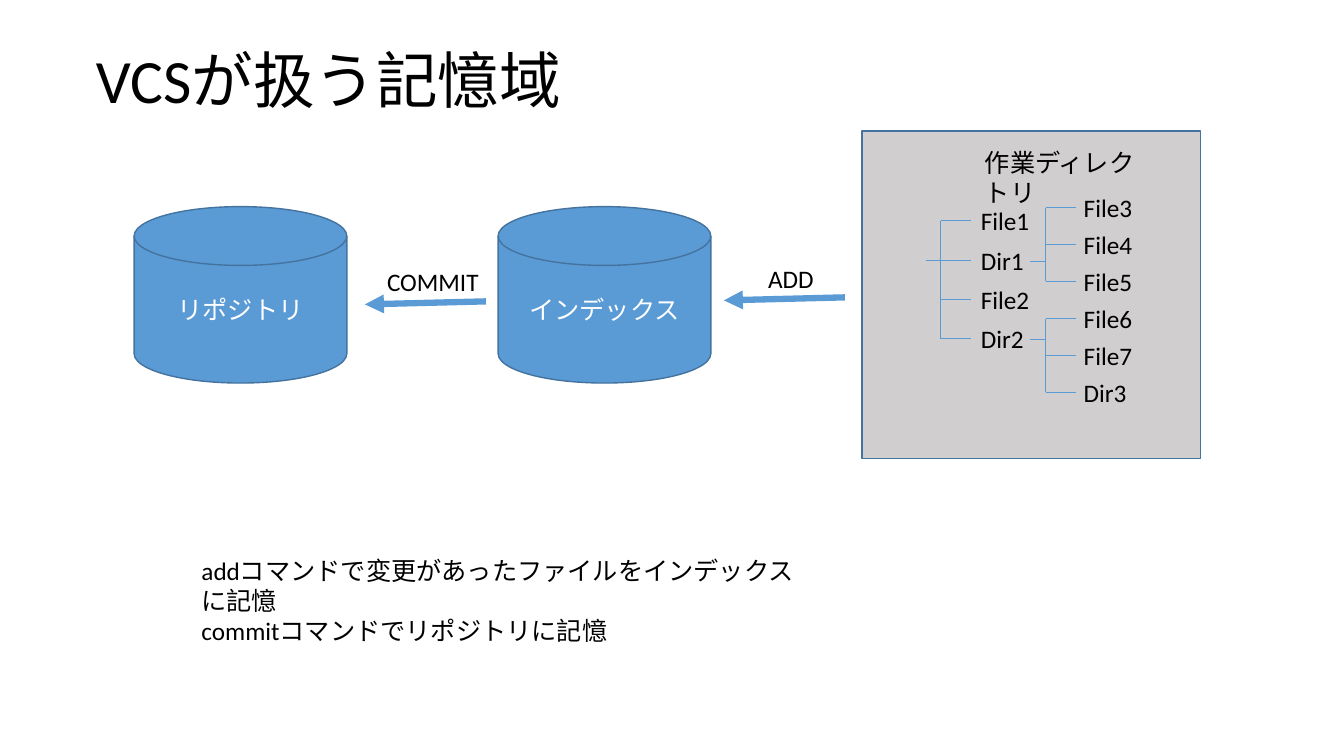
from lxml.etree import SubElement
from pptx import Presentation
from pptx.dml.color import RGBColor
from pptx.enum.shapes import MSO_CONNECTOR, MSO_SHAPE
from pptx.enum.text import MSO_ANCHOR, MSO_AUTO_SIZE, PP_ALIGN
from pptx.oxml.ns import qn
from pptx.util import Inches, Pt

BLUE = RGBColor(0x5B, 0x9B, 0xD5)
OUTLINE = RGBColor(0x43, 0x73, 0x9E)
GRAY = RGBColor(0xD0, 0xCE, 0xCE)
BLACK = RGBColor(0, 0, 0)
WHITE = RGBColor(255, 255, 255)
FONT = "Calibri"

STAGE_LEFT = 1.33
STAGE_PITCH = 3.61
LABEL_HEIGHT = 0.4


def stage_x(column):
    return STAGE_LEFT + column * STAGE_PITCH


def write(paragraph, text, color=BLACK, size=18):
    run = paragraph.add_run()
    run.text = text
    run.font.name = FONT
    run.font.size = Pt(size)
    run.font.color.rgb = color


def add_label(shapes, box, lines, wrap=True):
    label = shapes.add_textbox(*map(Inches, box))
    frame = label.text_frame
    frame.word_wrap = wrap
    frame.auto_size = MSO_AUTO_SIZE.SHAPE_TO_FIT_TEXT
    for index, line in enumerate(lines):
        paragraph = frame.add_paragraph() if index else frame.paragraphs[0]
        write(paragraph, line)


def add_store(shapes, kind, box, fill, name=""):
    store = shapes.add_shape(kind, *map(Inches, box))
    store.shadow.inherit = False
    store.fill.solid()
    store.fill.fore_color.rgb = fill
    store.line.color.rgb = OUTLINE
    store.line.width = Pt(1)
    if name:
        frame = store.text_frame
        frame.vertical_anchor = MSO_ANCHOR.MIDDLE
        frame.paragraphs[0].alignment = PP_ALIGN.CENTER
        write(frame.paragraphs[0], name, WHITE)


def add_line(shapes, start, end, width=0.5, arrow=False):
    line = shapes.add_connector(MSO_CONNECTOR.STRAIGHT, *map(Inches, (*start, *end)))
    line.line.color.rgb = BLUE
    line.line.width = Pt(width)
    properties = line._element.spPr
    if arrow:
        SubElement(properties.find(qn("a:ln")), qn("a:tailEnd"), type="triangle")
    SubElement(properties, qn("a:effectLst"))


def add_branch(shapes, trunk, label_left, top, pitch, stem_y, names):
    rows = [top + pitch * index for index in range(len(names))]
    add_line(shapes, (trunk, rows[0]), (trunk, rows[-1]))
    add_line(shapes, (trunk - 0.15, stem_y), (trunk, stem_y))
    for name, row in zip(names, rows):
        add_line(shapes, (trunk, row), (trunk + 0.3, row))
        add_label(shapes, (label_left, row - 0.2, 0.89, LABEL_HEIGHT), [name])


def add_working_directory(slide):
    directory = slide.shapes.add_group_shape().shapes
    add_store(directory, MSO_SHAPE.RECTANGLE, (stage_x(2), 1.3, 3.36, 3.25), GRAY)
    add_branch(directory, 9.33, 9.63, 2.19, 0.39, 2.58, ["File1", "Dir1", "File2", "Dir2"])
    add_branch(directory, 10.37, 10.65, 2.06, 0.365, 2.59, ["File3", "File4", "File5"])
    add_branch(directory, 10.37, 10.65, 3.16, 0.365, 3.37, ["File6", "File7", "Dir3"])
    add_label(directory, (9.67, 1.41, 1.92, LABEL_HEIGHT), ["作業ディレクトリ"])


def add_title(slide, text):
    title = slide.shapes.title
    title.left, title.top, title.width, title.height = map(Inches, (0.85, 0.1, 11.5, 1.45))
    frame = title.text_frame
    frame.auto_size = MSO_AUTO_SIZE.NONE
    frame.vertical_anchor = MSO_ANCHOR.MIDDLE
    heading = frame.paragraphs[0]
    heading.alignment = PP_ALIGN.LEFT
    heading.line_spacing = 0.9
    write(heading, text, size=44)


def main():
    deck = Presentation()
    deck.slide_width = Inches(13.33)
    deck.slide_height = Inches(7.5)
    slide = deck.slides.add_slide(deck.slide_layouts[5])
    add_title(slide, "VCSが扱う記憶域")

    for column, name in enumerate(["リポジトリ", "インデックス"]):
        box = (stage_x(column), 2.05, 2.11, 1.75)
        add_store(slide.shapes, MSO_SHAPE.FLOWCHART_MAGNETIC_DISK, box, BLUE, name)
    add_working_directory(slide)

    commands = [("ADD", 7.52, 2.56, 0.66, 8.38, 2.95), ("COMMIT", 3.74, 2.59, 1.12, 4.82, 2.99)]
    for command, left, top, width, tail_x, tail_y in commands:
        add_line(slide.shapes, (tail_x, tail_y), (tail_x - 1.2, tail_y + 0.03), 4.5, True)
        add_label(slide.shapes, (left, top, width, LABEL_HEIGHT), [command], wrap=False)

    add_label(slide.shapes, (1.9, 5.46, 6.17, 0.71), [
        "addコマンドで変更があったファイルをインデックスに記憶",
        "commitコマンドでリポジトリに記憶",
    ])
    deck.save("out.pptx")


main()
